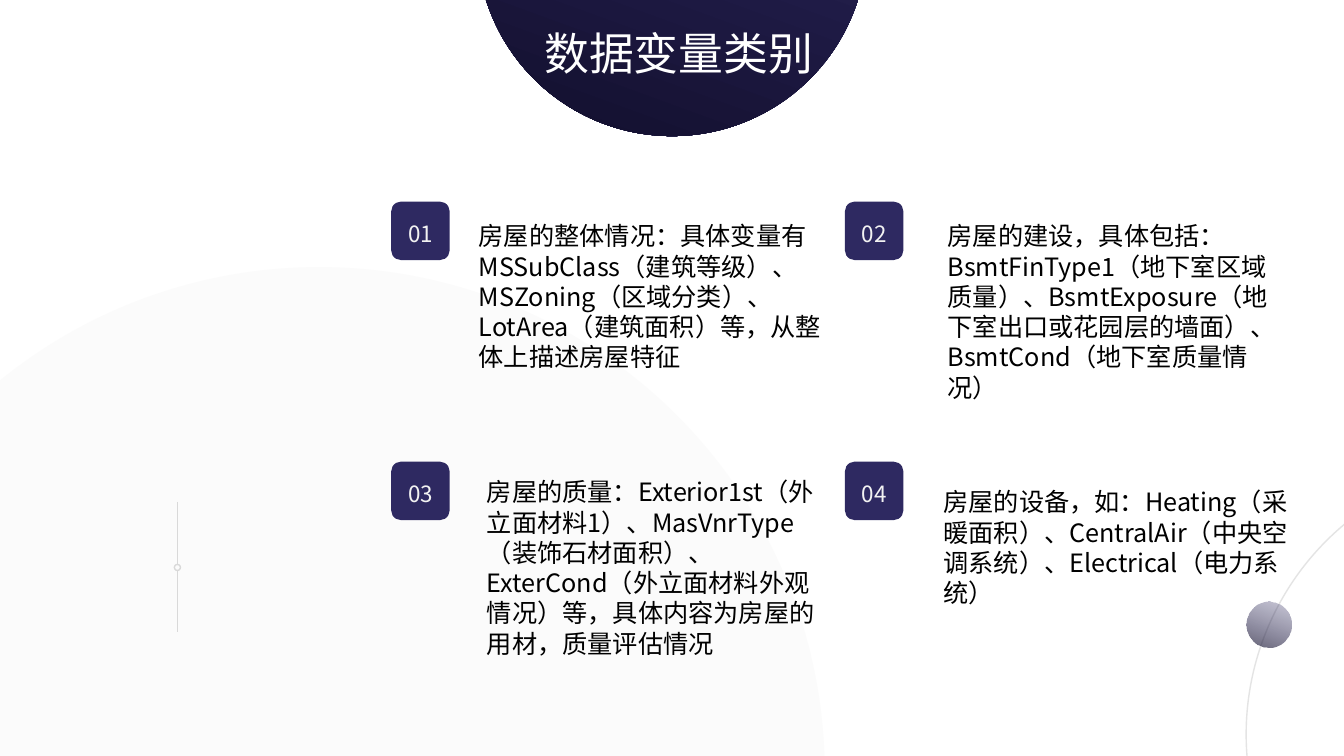
from dataclasses import dataclass

from lxml import etree
from pptx import Presentation
from pptx import util as u
from pptx.dml.color import RGBColor
from pptx.enum import shapes, text
from pptx.oxml.ns import qn

PX = 9144  # EMU per px, 100 px to the inch


@dataclass(frozen=True)
class Theme:
    font: str = "Noto Sans CJK SC"
    navy: str = "2E2961"
    night: str = "120F2D"
    white: str = "FFFFFF"
    black: str = "000000"
    pale: str = "F2F2F2"
    rule: str = "D9D9D9"
    orbit: str = "A6A6A6"
    title: int = 32
    body: int = 18
    badge: int = 16


def px(*nums):
    return [u.Emu(n * PX) for n in nums]


def fade(node, *alphas):
    """Set the opacity, in percent, of each colour under node in turn."""
    for color, alpha in zip(node.iter(qn("a:srgbClr")), alphas):
        etree.SubElement(color, qn("a:alpha")).set("val", str(alpha * 1000))


def write(frame, words, size, color, font, align=None, space=None):
    para = frame.paragraphs[0]
    para.alignment, para.line_spacing = align, space
    run = para.add_run()
    run.text = words
    run.font.name, run.font.size = font, u.Pt(size)
    run.font.color.rgb = RGBColor.from_string(color)
    etree.SubElement(run.font._element, qn("a:ea")).set("typeface", font)


class Page:
    def __init__(self, slide, theme):
        self.slide, self.theme = slide, theme

    def shape(self, kind, box, fill=None, line=None):
        """Add a preset shape; a pair of fill colours makes a gradient."""
        item = self.slide.shapes.add_shape(kind, *px(*box))
        item.shadow.inherit = False
        if isinstance(fill, tuple):
            item.fill.gradient()
            item.fill.gradient_angle = 250
            for stop, color in zip(item.fill.gradient_stops, fill):
                stop.color.rgb = RGBColor.from_string(color)
        elif fill:
            item.fill.solid()
            item.fill.fore_color.rgb = RGBColor.from_string(fill)
        else:
            item.fill.background()
        if line:
            item.line.color.rgb = RGBColor.from_string(line)
            item.line.width = u.Pt(1)
        else:
            item.line.fill.background()
        return item

    def disc(self, left, top, size, fill=None, line=None, alphas=()):
        item = self.shape(shapes.MSO_SHAPE.OVAL, (left, top, size, size), fill, line)
        fade(item._element.spPr, *alphas)

    def rule(self, x, top, end):
        item = self.slide.shapes.add_connector(
            shapes.MSO_CONNECTOR.STRAIGHT, *px(x, top, x, end))
        item.line.color.rgb = RGBColor.from_string(self.theme.rule)
        item.line.width = u.Pt(1)
        etree.SubElement(item._element.spPr, qn("a:effectLst"))

    def badge(self, left, top, label):
        look = self.theme
        item = self.shape(shapes.MSO_SHAPE.ROUNDED_RECTANGLE,
                          (left, top, 58, 58), look.navy)
        frame = item.text_frame
        frame.margin_left = frame.margin_right = 0
        frame.margin_top = frame.margin_bottom = 0
        frame.vertical_anchor = text.MSO_ANCHOR.MIDDLE
        write(frame, label, look.badge, look.pale, look.font,
              align=text.PP_ALIGN.CENTER, space=1.2)

    def label(self, box, words, size, color):
        frame = self.slide.shapes.add_textbox(*px(*box)).text_frame
        frame.word_wrap = True
        frame.auto_size = text.MSO_AUTO_SIZE.SHAPE_TO_FIT_TEXT
        write(frame, words, size, color, self.theme.font)


GROUPS = [
    ((465, 214, 362, 162),
     "房屋的整体情况：具体变量有MSSubClass（建筑等级）、MSZoning（区域分类）、"
     "LotArea（建筑面积）等，从整体上描述房屋特征"),
    ((930, 214, 358, 162),
     "房屋的建设，具体包括：BsmtFinType1（地下室区域质量）、"
     "BsmtExposure（地下室出口或花园层的墙面）、BsmtCond（地下室质量情况）"),
    ((473, 468, 345, 192),
     "房屋的质量：Exterior1st（外立面材料1）、MasVnrType（装饰石材面积）、"
     "ExterCond（外立面材料外观情况）等，具体内容为房屋的用材，质量评估情况"),
    ((926, 478, 366, 131),
     "房屋的设备，如：Heating（采暖面积）、CentralAir（中央空调系统）、"
     "Electrical（电力系统）"),
]


def main():
    deck = Presentation()
    deck.slide_width, deck.slide_height = px(1333, 750)
    look = Theme()
    page = Page(deck.slides.add_slide(deck.slide_layouts[6]), look)
    dusk = (look.navy, look.night)

    page.disc(473, -252, 387, dusk)
    page.disc(1236, 457, 543, line=look.orbit, alphas=[30])
    page.disc(1236, 597, 45, dusk, alphas=[26, 65])
    page.disc(-185, 265, 1003, look.pale, alphas=[29])

    page.disc(173, 560, 6, line=look.rule)
    for top in (498, 565):
        page.rule(176, top, top + 62)

    for i, (box, words) in enumerate(GROUPS):
        row, col = divmod(i, 2)
        page.badge(388 + 450 * col, 200 + 258 * row, f"{i + 1:02}")
        page.label(box, words, look.body, look.black)

    page.label((530, 21, 319, 64), "数据变量类别", look.title, look.white)
    deck.save("out.pptx")


if __name__ == "__main__":
    main()
